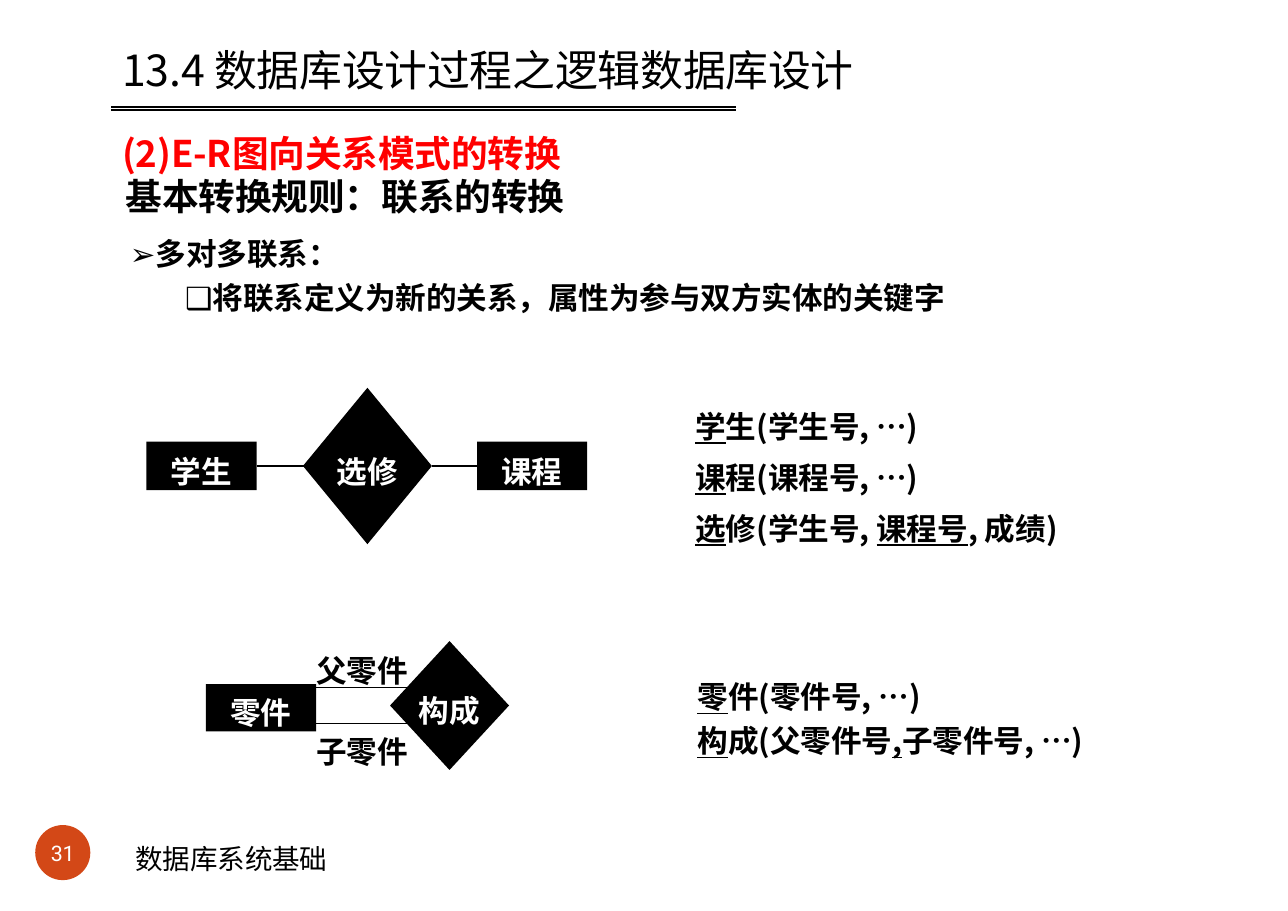
from lxml import etree
from pptx import Presentation
from pptx.dml.color import RGBColor
from pptx.enum.shapes import MSO_CONNECTOR, MSO_SHAPE
from pptx.enum.text import MSO_ANCHOR, PP_ALIGN
from pptx.oxml.ns import qn
from pptx.util import Emu, Pt

RECTANGLE, DIAMOND, OVAL = MSO_SHAPE.RECTANGLE, MSO_SHAPE.DIAMOND, MSO_SHAPE.OVAL
STRAIGHT = MSO_CONNECTOR.STRAIGHT
MIDDLE, CENTER = MSO_ANCHOR.MIDDLE, PP_ALIGN.CENTER
PX = 9144  # 100 px to the inch
BLACK, WHITE, RED, ORANGE = "000000", "FFFFFF", "FF0000", "D34817"
BODY_FONT, TITLE_FONT = "Noto Sans CJK SC", "Noto Sans CJK TC"

presentation = Presentation()
presentation.slide_width = Emu(1169 * PX)
presentation.slide_height = Emu(827 * PX)
slide = presentation.slides.add_slide(presentation.slide_layouts[6])


def add_paragraph(frame, runs, size=20, font=BODY_FONT, color=BLACK, bold=True,
                  before=0, line=None, indent=0):
    """Add one paragraph; each run is (text, underlined, own font or None)."""
    paragraph = frame.paragraphs[0]
    if paragraph.runs:
        paragraph = frame.add_paragraph()
    paragraph.space_before = Pt(before)
    paragraph.line_spacing = Pt(line or size * 1.2)
    properties = paragraph._p.get_or_add_pPr()
    properties.set("marL", str(indent * PX))
    properties.set("indent", "0")
    for text, underlined, own_font in runs:
        run = paragraph.add_run()
        run.text = text
        run.font.size = Pt(size)
        run.font.bold = bold and own_font is None
        run.font.underline = underlined
        run.font.color.rgb = RGBColor.from_string(color)
        run.font.name = own_font or font
        run_properties = run._r.get_or_add_rPr()
        run_properties.set("spc", "-10")
        east_asian = etree.SubElement(run_properties, qn("a:ea"))
        east_asian.set("typeface", own_font or font)
    return paragraph


def add_frame(left, top, width, height, kind=None, fill=BLACK):
    """Add a text box, or a filled shape when a kind is given; return its text frame."""
    box = [Emu(value * PX) for value in (left, top, width, height)]
    if kind is None:
        frame = slide.shapes.add_textbox(*box).text_frame
        frame.word_wrap = True
    else:
        shape = slide.shapes.add_shape(kind, *box)
        shape.shadow.inherit = False
        shape.fill.solid()
        shape.fill.fore_color.rgb = RGBColor.from_string(fill)
        shape.line.fill.background()
        frame = shape.text_frame
        frame.word_wrap = False
        frame.vertical_anchor = MIDDLE
    frame.margin_left = frame.margin_right = frame.margin_top = frame.margin_bottom = 0
    return frame


# Page number and footer
badge = add_frame(32, 749, 50, 50, OVAL, ORANGE)
add_paragraph(badge, [("31", False, None)], 14, "Roboto", WHITE, False).alignment = CENTER
footer = add_frame(123, 764, 235, 30)
add_paragraph(footer, [("数据库系统基础", False, None)], 18, "Calibri", bold=False)

# Title and section heading
title = add_frame(111, 40, 947, 120)
add_paragraph(title, [("13.4 数据库设计过程之逻辑数据库设计", False, None)],
              28, TITLE_FONT, bold=False)
add_paragraph(title, [("(2)E-R图向关系模式的转换", False, None)],
              24, TITLE_FONT, RED, before=23)

# Double rule under the title and links of both diagrams
for left, right, y, weight in (
    (101, 668, 97, 1), (101, 668, 100, 1),
    (233, 283, 423, 0.75), (392, 433, 423, 0.75),
    (287, 370, 624, 0.75), (287, 370, 657, 0.75),
):
    connector = slide.shapes.add_connector(
        STRAIGHT, Emu(left * PX), Emu(y * PX), Emu(right * PX), Emu(y * PX))
    connector.line.color.rgb = RGBColor.from_string(BLACK)
    connector.line.width = Pt(weight)
    etree.SubElement(connector._element.spPr, qn("a:effectLst"))

# Conversion rule
rules = add_frame(113, 158, 747, 125)
add_paragraph(rules, [("基本转换规则：联系的转换", False, None)], 24, indent=1)
add_paragraph(rules, [("➢", False, "Arial"), ("多对多联系：", False, None)],
              before=11.1, indent=5)
add_paragraph(rules, [("❑", False, "Arial"),
                      ("将联系定义为新的关系，属性为参与双方实体的关键字", False, None)],
              before=4.7, indent=55)

# Entities and relationships
for name, kind, left, top, width, height in (
    ("学生", RECTANGLE, 133, 401, 100, 44),
    ("课程", RECTANGLE, 433, 401, 100, 44),
    ("选修", DIAMOND, 275, 352, 117, 142),
    ("零件", RECTANGLE, 187, 621, 100, 43),
    ("构成", DIAMOND, 354, 582, 108, 117),
):
    node = add_frame(left, top, width, height, kind)
    node.margin_top = Emu(9 * PX)
    add_paragraph(node, [(name, False, None)], color=WHITE).alignment = CENTER

# Role names on the part links
for role, top in (("父零件", 592), ("子零件", 665)):
    add_paragraph(add_frame(286, top, 90, 31), [(role, False, None)], indent=1)

# Resulting relations: (text, underlined) runs, space before, line height
for left, top, width, height, relations in (
    (630, 370, 335, 122, (
        ([("学", True), ("生(学生号, …)", False)], 0, 24),
        ([("课", True), ("程(课程号, …)", False)], 2.1, 31.3),
        ([("选", True), ("修(学生号, ", False), ("课程号", True), (", 成绩)", False)],
         2.1, 31.3),
    )),
    (632, 609, 353, 77, (
        ([("零", True), ("件(零件号, …)", False)], 0, 28.8),
        ([("构", True), ("成(父零件号", False), (",", True), ("子零件号, …)", False)],
         0, 28.8),
    )),
):
    frame = add_frame(left, top, width, height)
    for runs, before, line in relations:
        add_paragraph(frame, [(text, underlined, None) for text, underlined in runs],
                      before=before, line=line, indent=1)

presentation.save("out.pptx")
